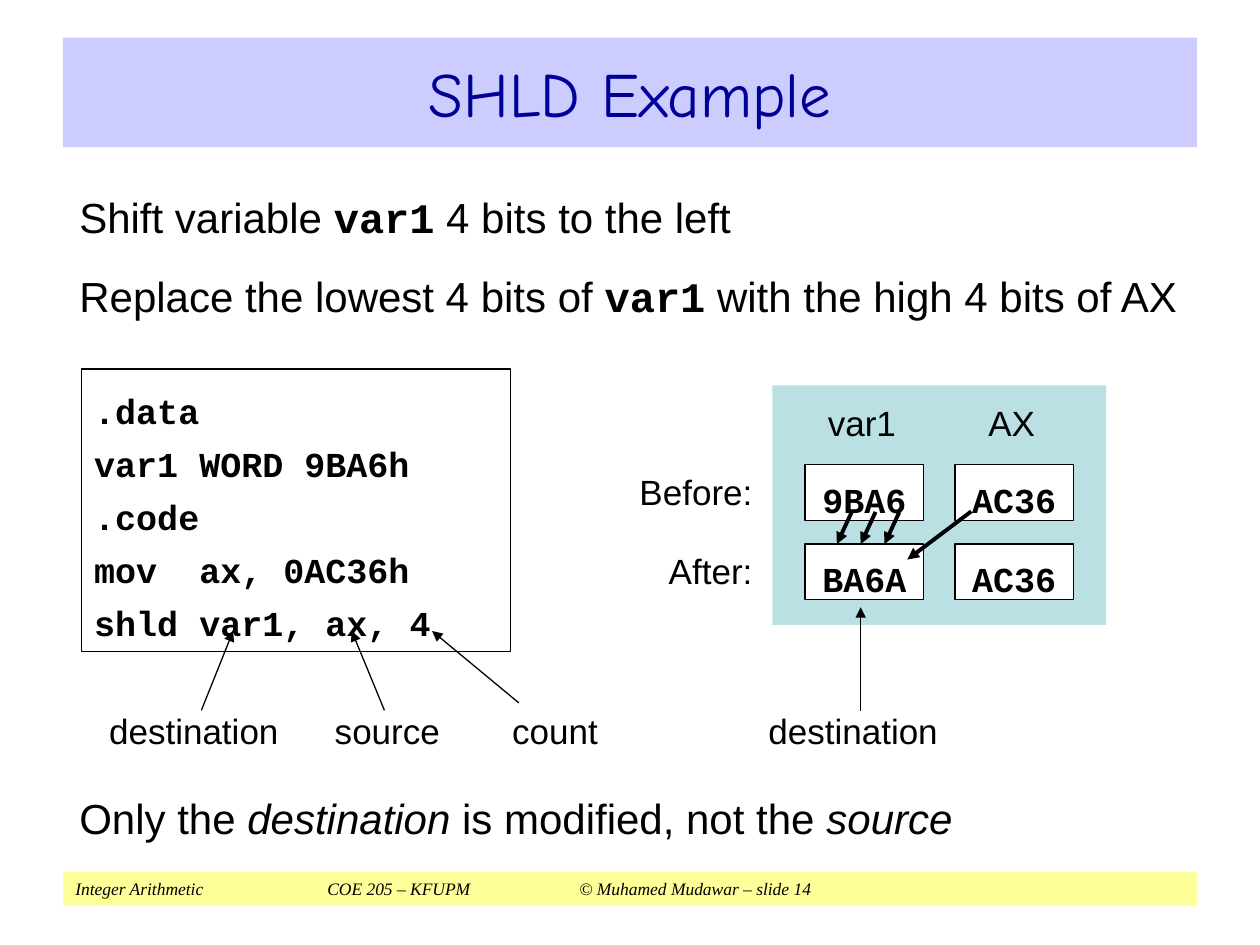
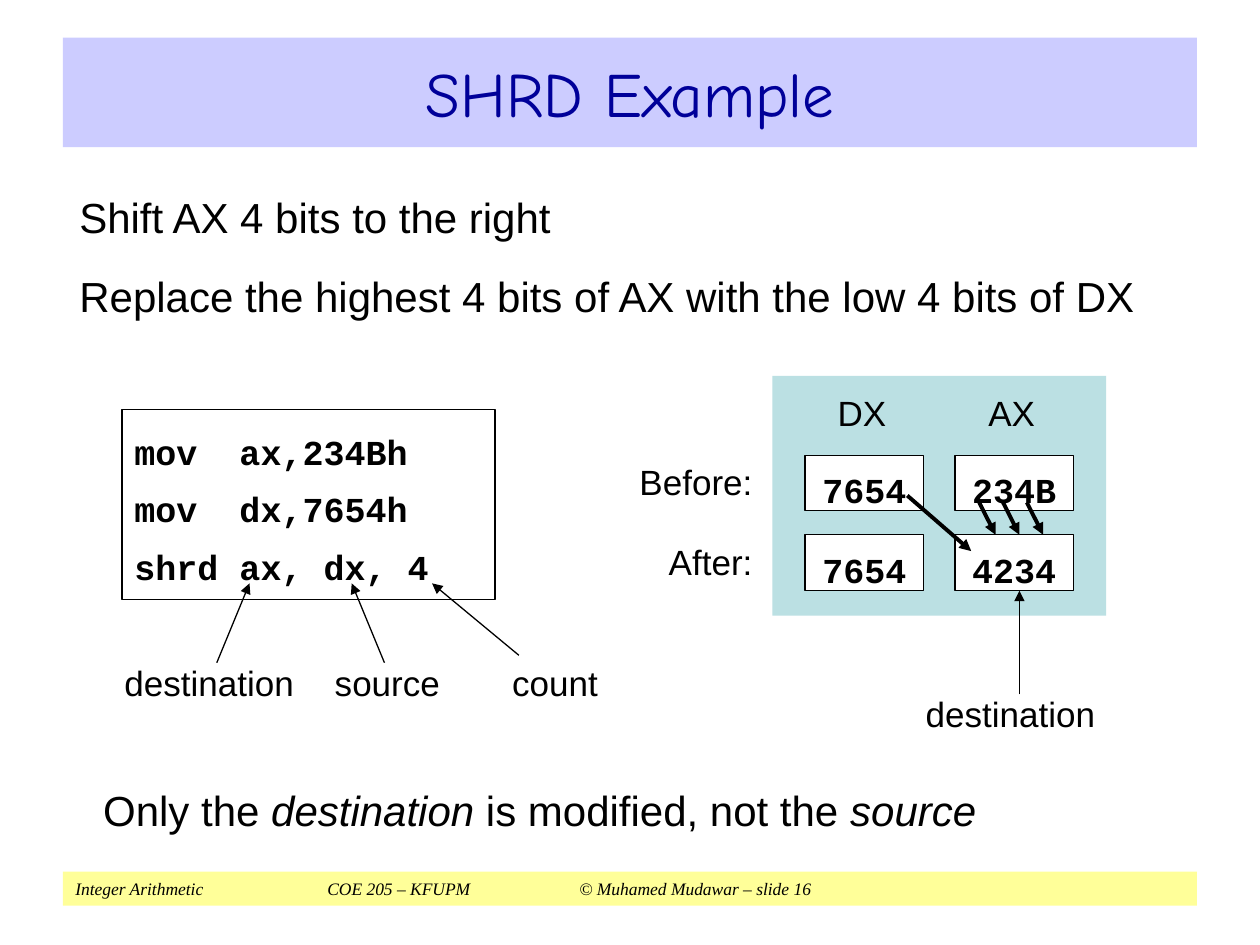
from lxml import etree
from pptx import Presentation
from pptx.dml.color import RGBColor
from pptx.enum.shapes import MSO_CONNECTOR, MSO_SHAPE
from pptx.enum.text import MSO_ANCHOR, PP_ALIGN
from pptx.oxml.ns import qn
from pptx.util import Cm, Pt

RECTANGLE = MSO_SHAPE.RECTANGLE
STRAIGHT = MSO_CONNECTOR.STRAIGHT
LEFT, CENTER, RIGHT = PP_ALIGN.LEFT, PP_ALIGN.CENTER, PP_ALIGN.RIGHT
TOP, MIDDLE = MSO_ANCHOR.TOP, MSO_ANCHOR.MIDDLE

COLORS = {"band": "CCCCFF", "title": "000099", "footer": "FFFF99",
          "panel": "BBE0E3", "cell": "FFFFFF", "ink": "000000"}
SANS, CODE, TITLE, SERIF = "Arial", "Courier New", "Comic Neue", "Times New Roman"

CONCLUSION = [("Only the ", ""), ("destination", "italic"),
              (" is modified, not the ", ""), ("source", "italic")]
ROW_LABELS = ["Before:", "After:"]

EXAMPLES = [
    {"title": "SHLD Example", "number": 14,
     "intro": [[("Shift variable ", ""), ("var1", "code"), (" 4 bits to the left", "")],
               [("Replace the lowest 4 bits of ", ""), ("var1", "code"),
                (" with the high 4 bits of AX", "")]],
     "code": [".data", "var1 WORD 9BA6h", ".code", "mov  ax, 0AC36h", "shld var1, ax, 4"],
     "code_box": (1.65, 7.44, 8.64, 5.69), "code_gap": 6.2,
     "registers": {"var1": ("9BA6", "BA6A"), "AX": ("AC36", "AC36")},
     "panel_top": 7.77,
     "carry": (19.58, 2.54, 18.29, 3.51), "bits_left": 17.17, "bits_shift": -0.3,
     "operands_top": 14.17,
     "operands": [("destination", 3.91, 4.06, 4.7), ("source", 7.81, 7.75, 7.09),
                  ("count", 11.19, 10.46, 8.71)],
     "result": (17.2, 14.17, 17.35), "conclusion_at": (1.35, 15.6)},
    {"title": "SHRD Example", "number": 16,
     "intro": [[("Shift AX 4 bits to the right", "")],
               [("Replace the highest 4 bits of AX with the low 4 bits of DX", "")]],
     "code": ["mov  ax,234Bh", "mov  dx,7654h", "shrd ax, dx, 4"],
     "code_box": (2.46, 8.25, 7.52, 3.84), "code_gap": 9,
     "registers": {"DX": ("7654", "7654"), "AX": ("234B", "4234")},
     "panel_top": 7.58,
     "carry": (18.29, 2.41, 19.58, 3.53), "bits_left": 19.74, "bits_shift": 0.33,
     "operands_top": 13.21,
     "operands": [("destination", 4.22, 4.37, 5.03), ("source", 7.81, 7.75, 7.09),
                  ("count", 11.19, 10.46, 8.71)],
     "result": (20.37, 13.84, 20.55), "conclusion_at": (1.83, 15.44)},
]

PANEL_LEFT, PANEL_WIDTH, PANEL_HEIGHT = 15.57, 6.73, 4.83
CELL_LEFT, CELL_WIDTH, CELL_HEIGHT = 16.23, 2.39, 1.12
COLUMN_STEP, ROW_STEP = 3.02, 1.6
BIT_STEP = 0.48
NOTE_WIDTH = 4.17


def color(name):
    return RGBColor.from_string(COLORS[name])


def add_box(slide, box, fill=None, outlined=False):
    shape = slide.shapes.add_shape(RECTANGLE, *map(Cm, box))
    shape.shadow.inherit = False
    if fill:
        shape.fill.solid()
        shape.fill.fore_color.rgb = color(fill)
    else:
        shape.fill.background()
    if outlined:
        shape.line.color.rgb = color("ink")
        shape.line.width = Pt(0.75)
    else:
        shape.line.fill.background()
    return shape


def add_label(slide, box):
    return slide.shapes.add_textbox(*map(Cm, box))


def write(shape, lines, size, font=SANS, align=LEFT, anchor=TOP, insets=(0.25, 0.13),
          gap=0, ink="ink", bold=False, italic=False):
    frame = shape.text_frame
    frame.word_wrap = True
    frame.vertical_anchor = anchor
    frame.margin_left = frame.margin_right = Cm(insets[0])
    frame.margin_top = frame.margin_bottom = Cm(insets[1])
    for index, line in enumerate(lines):
        paragraph = frame.paragraphs[0] if index == 0 else frame.add_paragraph()
        paragraph.alignment = align
        paragraph.space_before = Pt(gap if index else 0)
        for text, style in [(line, "")] if isinstance(line, str) else line:
            run = paragraph.add_run()
            run.text = text
            run.font.name = CODE if style == "code" else font
            run.font.size = Pt(size)
            run.font.bold = bold or style == "code"
            run.font.italic = italic or style == "italic"
            run.font.color.rgb = color(ink)
    return frame


def add_arrow(slide, start_x, start_y, end_x, end_y, width=0.75):
    arrow = slide.shapes.add_connector(
        STRAIGHT, *map(Cm, (start_x, start_y, end_x, end_y)))
    arrow.line.color.rgb = color("ink")
    arrow.line.width = Pt(width)
    etree.SubElement(arrow.line._get_or_add_ln(), qn("a:tailEnd"), type="triangle")
    etree.SubElement(arrow._element.spPr, qn("a:effectLst"))


def add_frame(slide, title, number):
    footer = add_box(slide, (1.27, 17.57, 22.86, 0.69), "footer")
    text = f"Integer Arithmetic\tCOE 205 – KFUPM\t© Muhamed Mudawar – slide {number}"
    frame = write(footer, [text], 10, SERIF, italic=True)
    tabs = etree.SubElement(frame.paragraphs[0]._p.get_or_add_pPr(), qn("a:tabLst"))
    for position in (5.08, 10.16):
        etree.SubElement(tabs, qn("a:tab"), pos=str(Cm(position)), algn="l")
    band = add_box(slide, (1.27, 0.76, 22.86, 2.21), "band")
    write(band, [title], 36, TITLE, CENTER, MIDDLE, ink="title")


def add_note(slide, text, center, top):
    label = add_label(slide, (center - NOTE_WIDTH / 2, top, NOTE_WIDTH, 1.12))
    write(label, [text], 20, align=CENTER)


def add_registers(slide, example):
    top = example["panel_top"]
    add_box(slide, (PANEL_LEFT, top, PANEL_WIDTH, PANEL_HEIGHT), "panel")
    for row, text in enumerate(ROW_LABELS):
        label = add_label(slide, (12.55, top + 1.71 + row * ROW_STEP, 2.87, 0.84))
        write(label, [text], 20, align=RIGHT, insets=(0.25, 0))
    for column, (name, values) in enumerate(example["registers"].items()):
        left = CELL_LEFT + column * COLUMN_STEP
        header = add_label(slide, (left - 0.05, top + 0.32, CELL_WIDTH, 0.84))
        write(header, [name], 20, align=CENTER, insets=(0, 0))
        for row, value in enumerate(values):
            cell = add_box(slide, (left, top + ROW_STEP * (row + 1), CELL_WIDTH, CELL_HEIGHT),
                           "cell", True)
            frame = write(cell, [value], 20, CODE, CENTER, MIDDLE, (0, 0), bold=True)
            frame.margin_top = Cm(0.1)
            frame.paragraphs[0].line_spacing = 1.2
    start_x, start_y, end_x, end_y = example["carry"]
    add_arrow(slide, start_x, top + start_y, end_x, top + end_y, 2.25)
    for bit in range(3):
        bit_x = example["bits_left"] + bit * BIT_STEP
        add_arrow(slide, bit_x, top + 2.55, bit_x + example["bits_shift"], top + 3.2, 2.25)


def add_notes(slide, example):
    top = example["operands_top"]
    for text, center, start_x, end_x in example["operands"]:
        add_note(slide, text, center, top)
        start_y = top if text == "count" else top + 0.15
        add_arrow(slide, start_x, start_y, end_x, top - 1.45)
    center, top, arrow_x = example["result"]
    add_note(slide, "destination", center, top)
    add_arrow(slide, arrow_x, top + 0.16, arrow_x, top - 1.93)


def main():
    presentation = Presentation()
    presentation.slide_width, presentation.slide_height = Cm(25.4), Cm(19.05)
    for example in EXAMPLES:
        slide = presentation.slides.add_slide(presentation.slide_layouts[6])
        add_frame(slide, example["title"], example["number"])
        code_box = add_box(slide, example["code_box"], outlined=True)
        write(code_box, example["code"], 20, CODE, insets=(0.25, 0.42),
              gap=example["code_gap"], bold=True)
        intro = add_label(slide, (1.35, 3.48, 22.71, 3.33))
        write(intro, example["intro"], 24, insets=(0.25, 0.38), gap=16.4)
        add_registers(slide, example)
        add_notes(slide, example)
        conclusion = add_label(slide, (*example["conclusion_at"], 21.29, 1.78))
        write(conclusion, [CONCLUSION], 24, insets=(0.25, 0.38))
    presentation.save("out.pptx")


if __name__ == "__main__":
    main()
